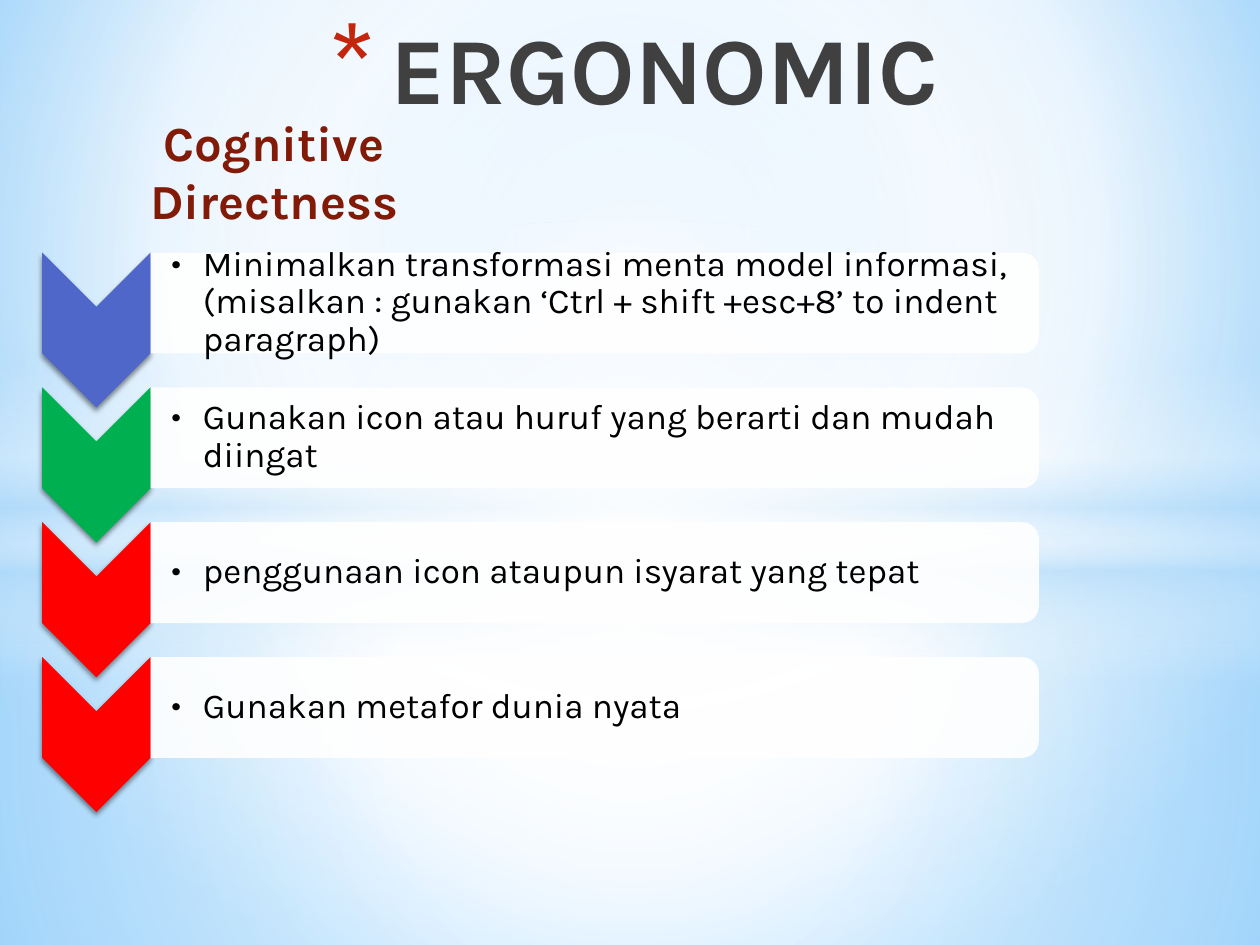
"""Build the ERGONOMIC slide on cognitive directness with four chevron rows."""
from dataclasses import dataclass

from lxml import etree
from pptx import Presentation
from pptx import util as u
from pptx.dml.color import RGBColor
from pptx.enum import shapes, text
from pptx.oxml import ns

FONT = "Karla"
COLORS = {
    "white": "FFFFFF", "black": "000000", "sky": "B4DCFA", "title": "404040",
    "star": "C3260C", "heading": "821A08", "blue": "4E67C8",
    "green": "00B050", "red": "FF0000", "light": "9ED5FF", "deep": "5BB9FF",
}
CENTER = (50, 50, 50, 50)
FIRST_ROW, ROW_PITCH = 2.0, 1.07


@dataclass
class Stop:
    position: int
    color: str
    alpha: int = 100


@dataclass
class Glow:
    preset: shapes.MSO_SHAPE
    top: float
    height: float
    stops: list[Stop]
    focus: tuple | None = CENTER


@dataclass
class Row:
    color: str
    advice: str


GLOWS = [
    Glow(shapes.MSO_SHAPE.RECTANGLE, 4.23, 3.27,
         [Stop(0, "white", 91), Stop(37, "white", 76), Stop(100, "sky", 79)]),
    Glow(shapes.MSO_SHAPE.RECTANGLE, 0, 4.23,
         [Stop(0, "white", 89), Stop(48, "white", 62), Stop(100, "sky", 79)]),
    Glow(shapes.MSO_SHAPE.RECTANGLE, 2.9, 2.5,
         [Stop(0, "white", 0), Stop(29, "white", 30), Stop(45, "sky", 40),
          Stop(55, "white", 26), Stop(65, "sky", 60), Stop(100, "white", 0)], None),
    Glow(shapes.MSO_SHAPE.OVAL, 1.75, 5.58, [Stop(0, "white"), Stop(54, "white", 0)]),
]
ROWS = [
    Row("blue", "Minimalkan transformasi menta model informasi, "
        "(misalkan : gunakan ‘Ctrl + shift +esc+8’ to indent paragraph)"),
    Row("green", "Gunakan icon atau huruf yang berarti dan mudah diingat"),
    Row("red", "penggunaan icon ataupun isyarat yang tepat"),
    Row("red", "Gunakan metafor dunia nyata"),
]


def add_node(parent, tag: str, **attributes):
    node = etree.SubElement(parent, ns.qn(tag))
    for key, value in attributes.items():
        node.set(key, str(value))
    return node


def add_color(parent, color: str, alpha: int = 100) -> None:
    node = add_node(parent, "a:srgbClr", val=COLORS[color])
    if alpha < 100:
        add_node(node, "a:alpha", val=alpha * 1000)


def fill_gradient(fill, owner, stops: list[Stop], focus: tuple | None) -> None:
    fill.solid()
    solid = next(owner.iter(ns.qn("a:solidFill")))
    gradient = etree.Element(ns.qn("a:gradFill"), rotWithShape="1")
    stop_list = add_node(gradient, "a:gsLst")
    for stop in stops:
        add_color(add_node(stop_list, "a:gs", pos=stop.position * 1000), stop.color, stop.alpha)
    if focus:
        edges = dict(zip("ltrb", (edge * 1000 for edge in focus)))
        add_node(add_node(gradient, "a:path", path="circle"), "a:fillToRect", **edges)
    else:
        add_node(gradient, "a:lin", ang=90 * 60000, scaled=0)
    solid.getparent().replace(solid, gradient)


def add_run(paragraph, words: str, size: float, color: str, bold: bool = False) -> None:
    run = paragraph.add_run()
    run.text = words
    run.font.name, run.font.size, run.font.bold = FONT, u.Pt(size), bold
    run.font.color.rgb = RGBColor.from_string(COLORS[color])


def add_bullet(paragraph, char: str, margin: float, indent: float,
               color: str, percent: int = 100) -> None:
    properties = paragraph._p.get_or_add_pPr()
    properties.set("marL", str(u.Inches(margin)))
    properties.set("indent", str(u.Inches(indent)))
    add_color(add_node(properties, "a:buClr"), color)
    add_node(properties, "a:buSzPct", val=percent * 1000)
    add_node(properties, "a:buFont", typeface=FONT)
    add_node(properties, "a:buChar", char=char)


def add_preset(parent, preset, left: float, top: float, width: float, height: float,
               rotation: float = 0):
    shape = parent.add_shape(preset, *map(u.Inches, (left, top, width, height)))
    shape.rotation = rotation
    shape.shadow.inherit = False
    shape.line.fill.background()
    return shape


def fill_solid(shape, color: str, alpha: int = 100) -> None:
    shape.fill.solid()
    shape.fill.fore_color.rgb = RGBColor.from_string(COLORS[color])
    if alpha < 100:
        add_node(next(shape._element.spPr.iter(ns.qn("a:srgbClr"))),
                 "a:alpha", val=alpha * 1000)


def add_row(parent, row: Row, top: float) -> None:
    chevron = add_preset(parent, shapes.MSO_SHAPE.CHEVRON, 0.15, top + 0.19, 1.23, 0.86, 90)
    fill_solid(chevron, row.color)
    effects = chevron._element.spPr.find(ns.qn("a:effectLst"))
    shadow = add_node(effects, "a:outerShdw", blurRad=u.Pt(3.1), dist=u.Pt(1.8),
                      dir=90 * 60000, rotWithShape=0)
    add_color(shadow, "black", 45)

    panel = add_preset(parent, shapes.MSO_SHAPE.ROUND_2_SAME_RECTANGLE,
                       4.32, top - 3.12, 0.8, 7.05, 90)
    fill_solid(panel, "white", 90)

    advice = parent.add_textbox(*map(u.Inches, (1.2, top + 0.04, 7.02, 0.72)))
    frame = advice.text_frame
    frame.word_wrap = True
    frame.vertical_anchor = text.MSO_ANCHOR.MIDDLE
    frame.margin_left = u.Inches(0.16)
    frame.margin_top = frame.margin_right = frame.margin_bottom = u.Inches(0.01)
    paragraph = frame.paragraphs[0]
    paragraph.level = 1
    paragraph.line_spacing = 0.9
    paragraph.space_after = u.Pt(3)
    add_bullet(paragraph, "•", 0.25, -0.25, "black")
    add_run(paragraph, row.advice, 20, "black")


def add_title(slide) -> None:
    title = slide.shapes.title
    title.left, title.top, title.width, title.height = map(u.Inches, (1, 0.03, 7.85, 0.72))
    frame = title.text_frame
    frame.auto_size = text.MSO_AUTO_SIZE.NONE
    frame.vertical_anchor = text.MSO_ANCHOR.TOP
    paragraph = frame.paragraphs[0]
    paragraph.alignment = text.PP_ALIGN.CENTER
    add_bullet(paragraph, "*", 0.7, -0.5, "star", 128)
    add_run(paragraph, "ERGONOMIC", 54, "title", True)


def add_heading(slide) -> None:
    heading = slide.shapes.add_textbox(*map(u.Inches, (0.18, 0.84, 3.99, 0.57)))
    heading.text_frame.word_wrap = True
    paragraph = heading.text_frame.paragraphs[0]
    paragraph.alignment = text.PP_ALIGN.CENTER
    add_run(paragraph, "Cognitive Directness", 28, "heading", True)


def main() -> None:
    deck = Presentation()
    deck.slide_width, deck.slide_height = u.Inches(10), u.Inches(7.5)
    slide = deck.slides.add_slide(deck.slide_layouts[5])
    fill_gradient(slide.background.fill, slide._element.cSld.find(ns.qn("p:bg")),
                  [Stop(0, "light"), Stop(60, "white"), Stop(100, "deep")], (20, 10, 20, 60))
    for glow in GLOWS:
        shape = add_preset(slide.shapes, glow.preset, 0, glow.top, 10, glow.height)
        fill_gradient(shape.fill, shape._element.spPr, glow.stops, glow.focus)
    slide.shapes._spTree.append(slide.shapes.title._element)
    add_title(slide)
    rows = slide.shapes.add_group_shape().shapes
    for index, row in enumerate(ROWS):
        add_row(rows, row, FIRST_ROW + index * ROW_PITCH)
    add_heading(slide)
    deck.save("out.pptx")


if __name__ == "__main__":
    main()
